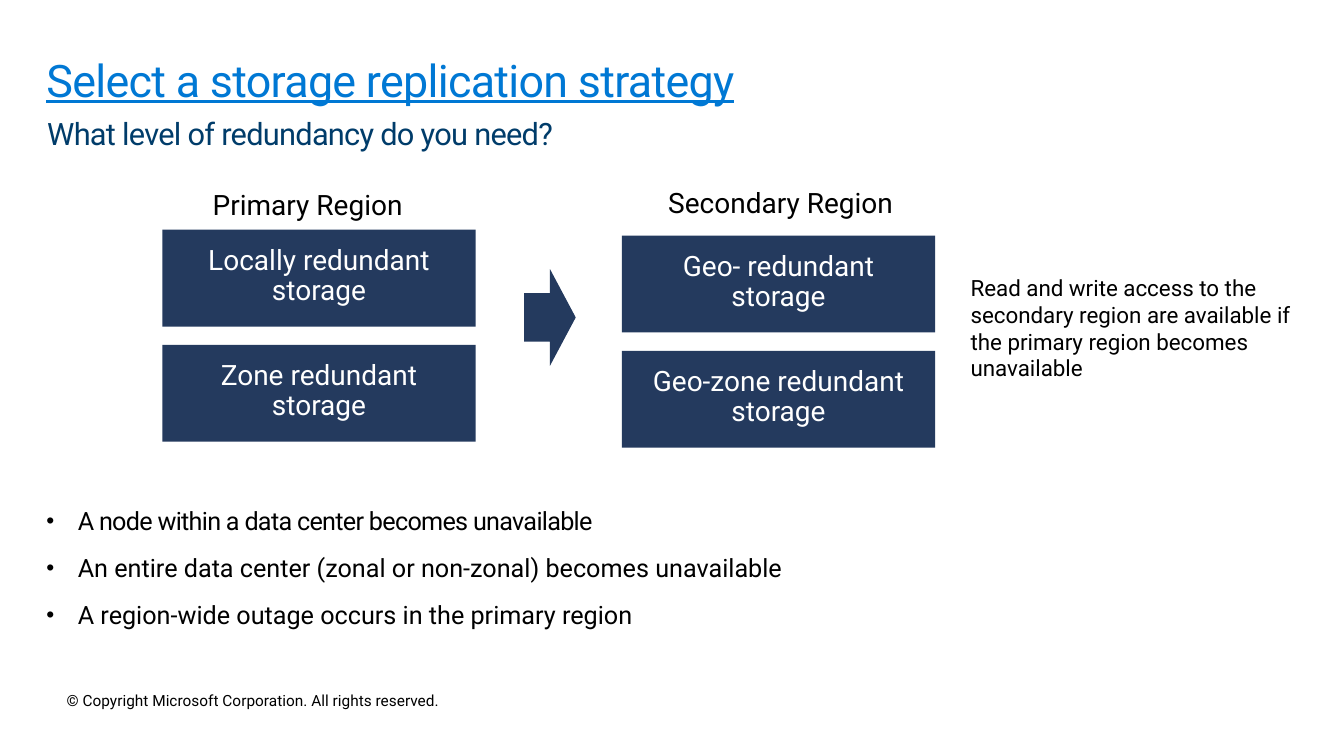
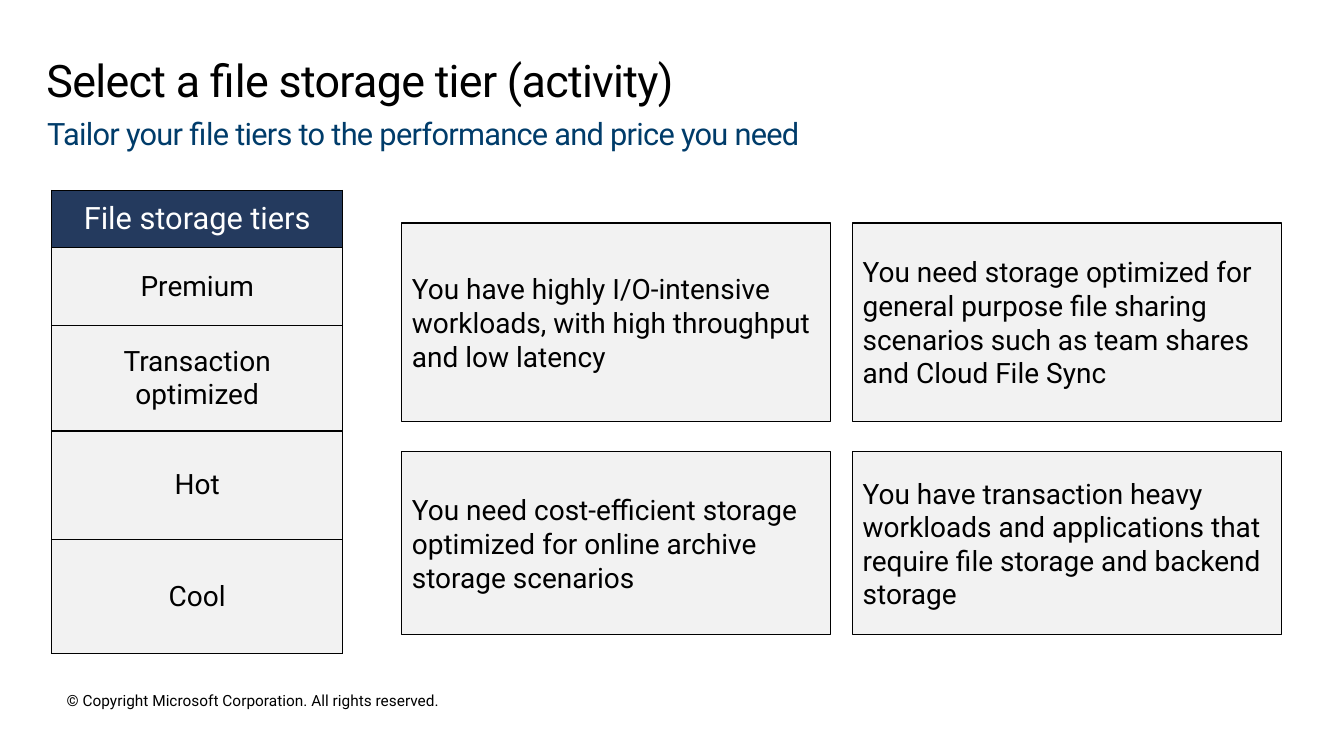
"""Builds two slides on storage replication and file storage tiers."""
from lxml.etree import SubElement
from pptx import Presentation
from pptx.dml.color import RGBColor
from pptx.enum.shapes import MSO_SHAPE
from pptx.enum.text import MSO_ANCHOR, MSO_AUTO_SIZE, PP_ALIGN
from pptx.oxml.ns import qn
from pptx.util import Cm, Pt

FONT = "Roboto"
COLORS = {"navy": "243A5E", "link": "0078D4", "subtitle": "003C6A",
          "panel": "F2F2F2", "black": "000000", "white": "FFFFFF"}
COPYRIGHT = "© Copyright Microsoft Corporation. All rights reserved."
WIDE_MARGINS = (0.51, 0.41, 0.51, 0.41)

REPLICATION = {
    "title": "Select a storage replication strategy",
    "subtitle": "What level of redundancy do you need?",
    "regions": [
        {"name": "Primary Region", "label": (5.11, 4.6, 5.89, 1.12), "corner": (4.09, 5.79),
         "options": ["Locally redundant storage", "Zone redundant storage"]},
        {"name": "Secondary Region", "label": (16.59, 4.55, 6.53, 1.12), "corner": (15.67, 5.94),
         "options": ["Geo- redundant storage", "Geo-zone redundant storage"]},
    ],
    "access": "Read and write access to the secondary region are available "
              "if the primary region becomes unavailable",
    "outages": [
        "A node within a data center becomes unavailable",
        "An entire data center (zonal or non-zonal) becomes unavailable",
        "A region-wide outage occurs in the primary region",
    ],
}
OPTION_SIZE = (7.9, 2.44)
OPTION_PITCH = 2.9

TIERS = {
    "title": "Select a file storage tier (activity)",
    "subtitle": "Tailor your file tiers to the performance and price you need",
    "table": [("File storage tiers", 1.38), ("Premium", 1.98), ("Transaction optimized", 2.65),
              ("Hot", 2.73), ("Cool", 2.88)],
    "scenarios": [
        ["You have highly I/O-intensive workloads, with high throughput and low latency",
         "You need storage optimized for general purpose file sharing scenarios "
         "such as team shares and Cloud File Sync"],
        ["You need cost-efficient storage optimized for online archive storage scenarios",
         "You have transaction heavy workloads and applications that require "
         "file storage and backend storage"],
    ],
}
SCENARIO_COLUMNS = (10.13, 21.49)
SCENARIO_ROWS = ((5.62, 5.0), (11.38, 4.62))
SCENARIO_WIDTH = 10.8


def rgb(name):
    return RGBColor.from_string(COLORS[name])


def place(shape, box):
    shape.left, shape.top, shape.width, shape.height = (Cm(n) for n in box)


def set_margins(target, margins):
    (target.margin_left, target.margin_top,
     target.margin_right, target.margin_bottom) = (Cm(n) for n in margins)


def write(frame, text, size, color="black", align=PP_ALIGN.LEFT, line=None, after=0):
    frame.text = text
    for paragraph in frame.paragraphs:
        paragraph.alignment = align
        paragraph.space_before = Pt(0)
        paragraph.space_after = Pt(after)
        if line:
            paragraph.line_spacing = line
        for run in paragraph.runs:
            run.font.name = FONT
            run.font.size = Pt(size)
            run.font.color.rgb = rgb(color)


def tighten(paragraph):
    for run in paragraph.runs:
        run.font._element.set("spc", "-50")


def set_bullet(paragraph, char=None, indent=0):
    props = paragraph._p.get_or_add_pPr()
    props.set("marL", str(Cm(indent)))
    props.set("indent", str(-Cm(indent)))
    if char:
        SubElement(props, qn("a:buSzPct")).set("val", "90000")
        SubElement(props, qn("a:buChar")).set("char", char)
    else:
        SubElement(props, qn("a:buNone"))


def fill_placeholder(holder, box, margins, text, size, **style):
    place(holder, box)
    frame = holder.text_frame
    frame.auto_size = MSO_AUTO_SIZE.NONE
    frame.vertical_anchor = MSO_ANCHOR.TOP
    frame.word_wrap = True
    set_margins(frame, margins)
    write(frame, text, size, **style)
    return frame


def add_text(slide, box, text, size, wrap=True, margins=None):
    frame = slide.shapes.add_textbox(*(Cm(n) for n in box)).text_frame
    frame.word_wrap = wrap
    if margins:
        set_margins(frame, margins)
    write(frame, text, size)


def add_block(slide, kind, box, fill, outlined=False):
    block = slide.shapes.add_shape(kind, *(Cm(n) for n in box))
    block.shadow.inherit = False
    block.fill.solid()
    block.fill.fore_color.rgb = rgb(fill)
    if outlined:
        block.line.color.rgb = rgb("black")
        block.line.width = Pt(0.75)
    else:
        block.line.fill.background()
    return block


def start_slide(prs, layout, content, title_color="black"):
    slide = prs.slides.add_slide(prs.slide_layouts[layout])
    title = fill_placeholder(slide.shapes.title, (1.17, 1.22, 31.5, 1.78), (0, 0.25, 0.41, 0.25),
                             content["title"], 32, color=title_color, line=0.9)
    subtitle = fill_placeholder(slide.placeholders[1], (1.19, 2.77, 31.5, 1.19), (0, 0.13, 0, 0.13),
                                content["subtitle"], 22, color="subtitle")
    set_bullet(subtitle.paragraphs[0])
    for frame in (title, subtitle):
        tighten(frame.paragraphs[0])
    add_text(slide, (1.17, 17.17, 10.54, 1.3), COPYRIGHT, 11, wrap=False, margins=WIDE_MARGINS)
    return slide


def add_region(slide, region):
    left, top = region["corner"]
    add_text(slide, region["label"], region["name"], 20)
    for row, option in enumerate(region["options"]):
        box = (left, top + row * OPTION_PITCH, *OPTION_SIZE)
        frame = add_block(slide, MSO_SHAPE.RECTANGLE, box, "navy").text_frame
        frame.vertical_anchor = MSO_ANCHOR.TOP
        set_margins(frame, WIDE_MARGINS)
        write(frame, option, 20, "white", PP_ALIGN.CENTER, line=0.9)


def build_replication(prs):
    slide = start_slide(prs, 3, REPLICATION, "link")
    slide.shapes.title.text_frame.paragraphs[0].runs[0].font.underline = True
    for region in REPLICATION["regions"]:
        add_region(slide, region)
    add_block(slide, MSO_SHAPE.RIGHT_ARROW, (13.21, 6.78, 1.3, 2.44), "navy")
    outages = fill_placeholder(slide.placeholders[2], (1.17, 12.73, 30.07, 4.45), (0, 0, 0, 0),
                               "\n".join(REPLICATION["outages"]), 18, after=12)
    for paragraph in outages.paragraphs:
        set_bullet(paragraph, "•", 0.79)
    tighten(outages.paragraphs[0])
    add_text(slide, (24.21, 6.78, 8.84, 3.0), REPLICATION["access"], 16)


def add_borders(cell):
    props = cell._tc.get_or_add_tcPr()
    for side in ("a:lnL", "a:lnR", "a:lnT", "a:lnB"):
        border = SubElement(props, qn(side), w=str(Pt(1)))
        SubElement(SubElement(border, qn("a:solidFill")), qn("a:srgbClr"), val=COLORS["black"])


def add_tier_table(slide, tiers):
    height = sum(row_height for _, row_height in tiers)
    table = slide.shapes.add_table(len(tiers), 1, Cm(1.3), Cm(4.8), Cm(7.34), Cm(height)).table
    table.first_row = table.horz_banding = False
    for index, (tier, row_height) in enumerate(tiers):
        table.rows[index].height = Cm(row_height)
        cell = table.cell(index, 0)
        size, color, fill = (20, "black", "panel") if index else (22, "white", "navy")
        add_borders(cell)
        cell.fill.solid()
        cell.fill.fore_color.rgb = rgb(fill)
        cell.vertical_anchor = MSO_ANCHOR.MIDDLE
        set_margins(cell, (0.38, 0.25, 0.38, 0.25))
        write(cell.text_frame, tier, size, color, PP_ALIGN.CENTER)


def build_tiers(prs):
    slide = start_slide(prs, 1, TIERS)
    add_tier_table(slide, TIERS["table"])
    for (top, height), scenarios in zip(SCENARIO_ROWS, TIERS["scenarios"]):
        for left, scenario in zip(SCENARIO_COLUMNS, scenarios):
            card = add_block(slide, MSO_SHAPE.RECTANGLE, (left, top, SCENARIO_WIDTH, height),
                             "panel", outlined=True)
            card.text_frame.vertical_anchor = MSO_ANCHOR.MIDDLE
            write(card.text_frame, scenario, 20)


def main():
    prs = Presentation()
    prs.slide_width, prs.slide_height = Cm(33.87), Cm(19.05)
    build_replication(prs)
    build_tiers(prs)
    prs.save("out.pptx")


if __name__ == "__main__":
    main()
